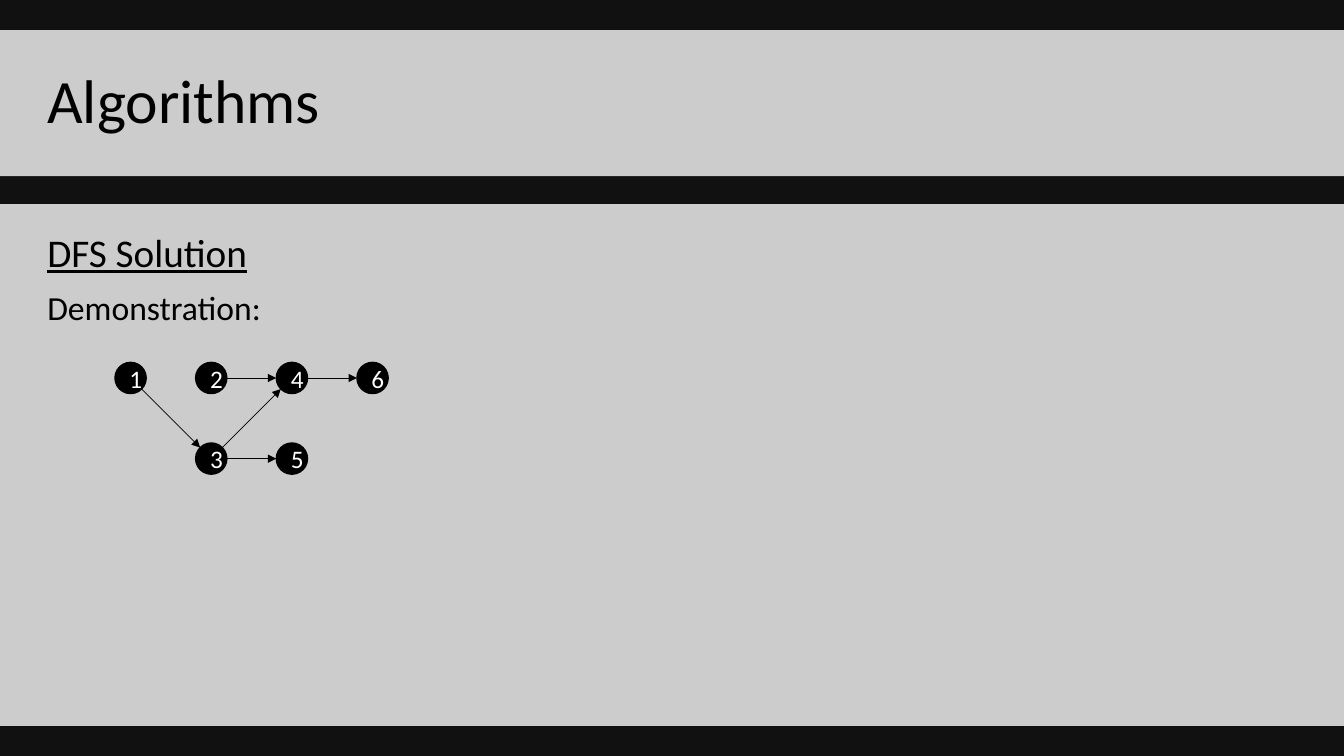
import math
from dataclasses import dataclass

import lxml.etree
import pptx
import pptx.dml.color
import pptx.enum.shapes
import pptx.enum.text
import pptx.oxml.ns
import pptx.util

Inch = pptx.util.Inches
Shape = pptx.enum.shapes.MSO_SHAPE
Anchor = pptx.enum.text.MSO_ANCHOR
Align = pptx.enum.text.PP_ALIGN
qn = pptx.oxml.ns.qn


@dataclass(frozen=True)
class Theme:
    """Hold the colours, sizes and font."""
    back: str = "111111"
    panel: str = "FFFFFF"
    ink: str = "000000"
    pale: str = "FFFFFF"
    alpha: int = 79
    font: str = "Calibri"
    title: int = 44
    head: int = 28
    body: int = 24
    node: int = 18
    rim: float = 1
    edge: float = 0.5


THEME = Theme()
WIDE, HIGH = 13.33, 7.5
NODES = {"1": (0, 0), "2": (1, 0), "3": (1, 1), "4": (2, 0), "5": (2, 1), "6": (3, 0)}
EDGES = ["24", "13", "35", "34", "46"]


def tint(code):
    """Turn a hex code into a colour."""
    return pptx.dml.color.RGBColor.from_string(code)


def paint(fill, code):
    """Make a fill solid."""
    fill.solid()
    fill.fore_color.rgb = tint(code)


def style(para, size, code, under=False):
    """Set the font of a paragraph."""
    font = para.font
    font.name, font.size, font.underline = THEME.font, pptx.util.Pt(size), under
    font.color.rgb = tint(code)


def panel(slide, box, top, anchor, lines):
    """Place a pale band holding lines of (text, size, underline)."""
    band = slide.shapes.add_shape(Shape.RECTANGLE, *map(Inch, box))
    band.shadow.inherit = False
    band.line.fill.background()
    paint(band.fill, THEME.panel)
    color = band.fill._xPr.find(".//" + qn("a:srgbClr"))
    lxml.etree.SubElement(color, qn("a:alpha"), val=str(THEME.alpha * 1000))
    frame = band.text_frame
    frame.word_wrap = True
    frame.vertical_anchor = anchor
    frame.margin_left, frame.margin_top = Inch(0.47), Inch(top)
    for place, (text, size, under) in enumerate(lines):
        para = frame.add_paragraph() if place else frame.paragraphs[0]
        para.text, para.alignment = text, Align.LEFT
        style(para, size, THEME.ink, under)
    return frame.paragraphs


def node(slide, label, mid, size):
    """Place a numbered disc around its centre."""
    box = (mid[0] - size / 2, mid[1] - size / 2, size, size)
    disc = slide.shapes.add_shape(Shape.OVAL, *map(Inch, box))
    disc.shadow.inherit = False
    paint(disc.fill, THEME.ink)
    paint(disc.line.fill, THEME.ink)
    disc.line.width = pptx.util.Pt(THEME.rim)
    disc.text_frame.vertical_anchor = Anchor.MIDDLE
    para = disc.text_frame.paragraphs[0]
    para.text, para.alignment = label, Align.CENTER
    style(para, THEME.node, THEME.pale)


def arrow(slide, start, end, size):
    """Join the rims of two discs with an arrow."""
    turn = math.atan2(end[1] - start[1], end[0] - start[0])
    dx, dy = size / 2 * math.cos(turn), size / 2 * math.sin(turn)
    ends = (start[0] + dx, start[1] + dy, end[0] - dx, end[1] - dy)
    kind = pptx.enum.shapes.MSO_CONNECTOR.STRAIGHT
    link = slide.shapes.add_connector(kind, *map(Inch, ends))
    paint(link.line.fill, THEME.ink)
    link.line.width = pptx.util.Pt(THEME.edge)
    lxml.etree.SubElement(link.line._get_or_add_ln(), qn("a:tailEnd"), type="triangle")
    lxml.etree.SubElement(link._element.spPr, qn("a:effectLst"))


def graph(slide, box):
    """Draw the graph on a grid of four columns and two rows."""
    left, top, width, height = box
    size = 0.31
    across, down = (width - size) / 3, height - size
    mids = {name: (left + size / 2 + col * across, top + size / 2 + row * down)
            for name, (col, row) in NODES.items()}
    for name, mid in mids.items():
        node(slide, name, mid, size)
    for start, end in EDGES:
        arrow(slide, mids[start], mids[end], size)


def lesson(slide, box):
    """Lay out the title band, the body band and the graph."""
    left, top, width, height = box
    head = (left, top + 0.04 * height, width, 0.193 * height)
    body = (left, top + 0.27 * height, width, 0.69 * height)
    title = panel(slide, head, 0.05, Anchor.MIDDLE,
                  [("Algorithms", THEME.title, False)])
    title[0].line_spacing = 0.9
    for para in panel(slide, body, 0.24, Anchor.TOP,
                      [("DFS Solution", THEME.head, True),
                       ("Demonstration:", THEME.body, False)]):
        para.space_before = pptx.util.Pt(8)
    graph(slide, (left + 1.14, body[1] + 1.57, 2.71, 1.11))


def main():
    """Build and save the deck."""
    deck = pptx.Presentation()
    deck.slide_width, deck.slide_height = Inch(WIDE), Inch(HIGH)
    slide = deck.slides.add_slide(deck.slide_layouts[6])
    paint(slide.background.fill, THEME.back)
    lesson(slide, (0, 0, WIDE, HIGH))
    deck.save("out.pptx")


main()
